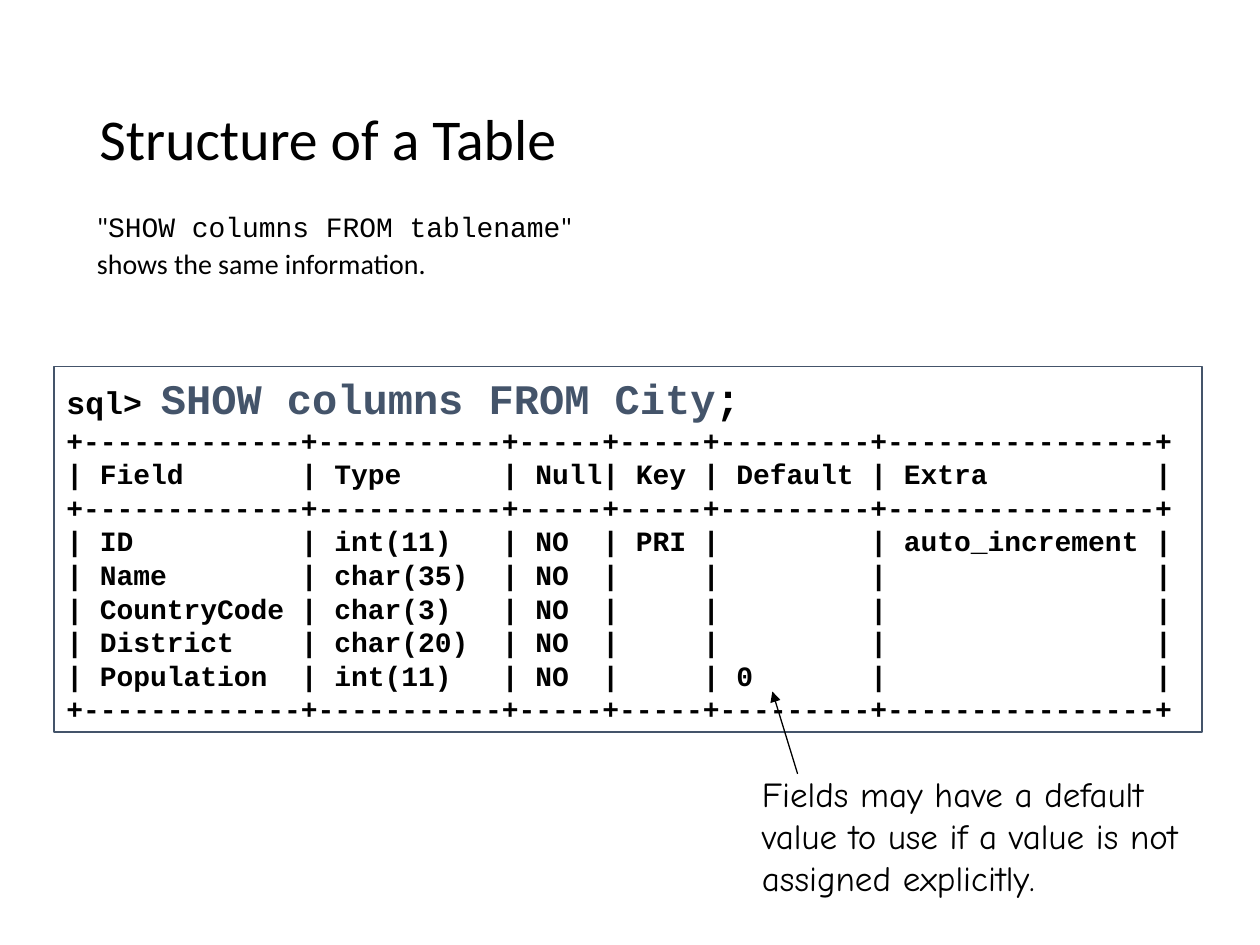
from dataclasses import dataclass

from lxml.etree import SubElement
from pptx import Presentation
from pptx.dml.color import RGBColor as RGB
from pptx.enum.shapes import MSO_CONNECTOR as CONN, MSO_SHAPE as SHAPE
from pptx.enum.text import MSO_ANCHOR as ANCHOR, MSO_AUTO_SIZE as FIT, PP_ALIGN as ALIGN
from pptx.oxml.ns import qn
from pptx.util import Cm, Pt


@dataclass(frozen=True)
class Theme:
    """Colours, fonts and type sizes of the slide."""
    ink: RGB = RGB(0x00, 0x00, 0x00)
    accent: RGB = RGB(0x44, 0x54, 0x6A)
    sans: str = "Calibri"
    mono: str = "Courier New"
    hand: str = "Comic Neue"
    title: int = 33
    body: int = 16
    prompt: int = 18
    command: int = 24
    note: int = 20
    line: float = 0.75


T = Theme()
WIDTHS = (13, 11, 5, 5, 9, 16)
HEADER = ("Field", "Type", "Null", "Key", "Default", "Extra")
FIELDS = (
    ("ID", "int(11)", "NO", "PRI", "", "auto_increment"),
    ("Name", "char(35)", "NO", "", "", ""),
    ("CountryCode", "char(3)", "NO", "", "", ""),
    ("District", "char(20)", "NO", "", "", ""),
    ("Population", "int(11)", "NO", "", "0", ""),
)


def add_run(p, text, font, size, color=T.ink, bold=False):
    """Append one formatted run to a paragraph."""
    r = p.add_run()
    r.text = text
    r.font.name, r.font.size, r.font.bold = font, Pt(size), bold
    r.font.color.rgb = color


def place(sp, box, anchor=ANCHOR.TOP):
    """Move a shape to its box and return its wrapped text frame."""
    sp.left, sp.top, sp.width, sp.height = (Cm(v) for v in box)
    tf = sp.text_frame
    tf.word_wrap, tf.auto_size, tf.vertical_anchor = True, FIT.NONE, anchor
    return tf


def fill_title(s, box):
    """Place the slide title."""
    p = place(s.shapes.title, box, ANCHOR.MIDDLE).paragraphs[0]
    p.alignment, p.line_spacing = ALIGN.LEFT, 0.9
    add_run(p, "Structure of a Table", T.sans, T.title)


def fill_body(s, box):
    """Place the two unbulleted lines under the title."""
    tf = place(s.placeholders[1], box)
    lines = (
        (('"', T.sans), ("SHOW columns FROM tablename", T.mono), ('"', T.sans)),
        (("shows the same information.", T.sans),),
    )
    for i, line in enumerate(lines):
        p = tf.add_paragraph() if i else tf.paragraphs[0]
        pPr = p._p.get_or_add_pPr()
        pPr.set("marL", str(Cm(0.48)))
        pPr.set("indent", str(-Cm(0.48)))
        SubElement(pPr, qn("a:buNone"))
        p.line_spacing, p.space_before = 0.7, Pt(7.5 if i else 0)
        for text, font in line:
            add_run(p, text, font, T.body)


def listing_lines():
    """Return the ruled text lines of the query result."""
    def row(values):
        cells = (f" {v}".ljust(w) for v, w in zip(values, WIDTHS))
        return f"|{'|'.join(cells)}|"

    rule = f"+{'+'.join('-' * w for w in WIDTHS)}+"
    return [rule, row(HEADER), rule, *map(row, FIELDS), rule]


def add_console(s, box):
    """Draw the framed console with the command and its result."""
    sp = s.shapes.add_shape(SHAPE.RECTANGLE, *(Cm(v) for v in box))
    sp.shadow.inherit = False
    sp.fill.background()
    sp.line.color.rgb, sp.line.width = T.accent, Pt(T.line)
    tf = place(sp, box)
    p = tf.paragraphs[0]
    p.alignment = ALIGN.LEFT
    add_run(p, "sql> ", T.mono, T.prompt, bold=True)
    add_run(p, "SHOW columns FROM City", T.mono, T.command, T.accent, True)
    add_run(p, ";", T.mono, T.command, bold=True)
    for line in listing_lines():
        p = tf.add_paragraph()
        p.alignment = ALIGN.LEFT
        add_run(p, line, T.mono, T.body, bold=True)


def add_note(s, box):
    """Add the remark and the arrow from it to the default value."""
    x, y = box[:2]
    tf = place(s.shapes.add_textbox(*(Cm(v) for v in box)), box)
    add_run(tf.paragraphs[0], "Fields may have a default value to use if a value "
            "is not assigned explicitly.", T.hand, T.note)
    ends = (x + 0.97, y + 0.16, x + 0.46, y - 1.5)
    arrow = s.shapes.add_connector(CONN.STRAIGHT, *(Cm(v) for v in ends))
    arrow.line.color.rgb, arrow.line.width = T.ink, Pt(T.line)
    SubElement(arrow.line._get_or_add_ln(), qn("a:tailEnd"), type="triangle")
    SubElement(arrow._element.spPr, qn("a:effectLst"))


def main():
    """Build and save the slide."""
    prs = Presentation()
    prs.slide_width, prs.slide_height = Cm(25.4), Cm(19.05)
    s = prs.slides.add_slide(prs.slide_layouts[1])
    fill_title(s, (1.75, 1.02, 21.92, 3.68))
    fill_body(s, (1.7, 4.29, 22, 1.52))
    add_console(s, (1.09, 7.39, 23.14, 7.37))
    add_note(s, (15.11, 15.44, 9.32, 2.79))
    prs.save("out.pptx")


if __name__ == "__main__":
    main()
